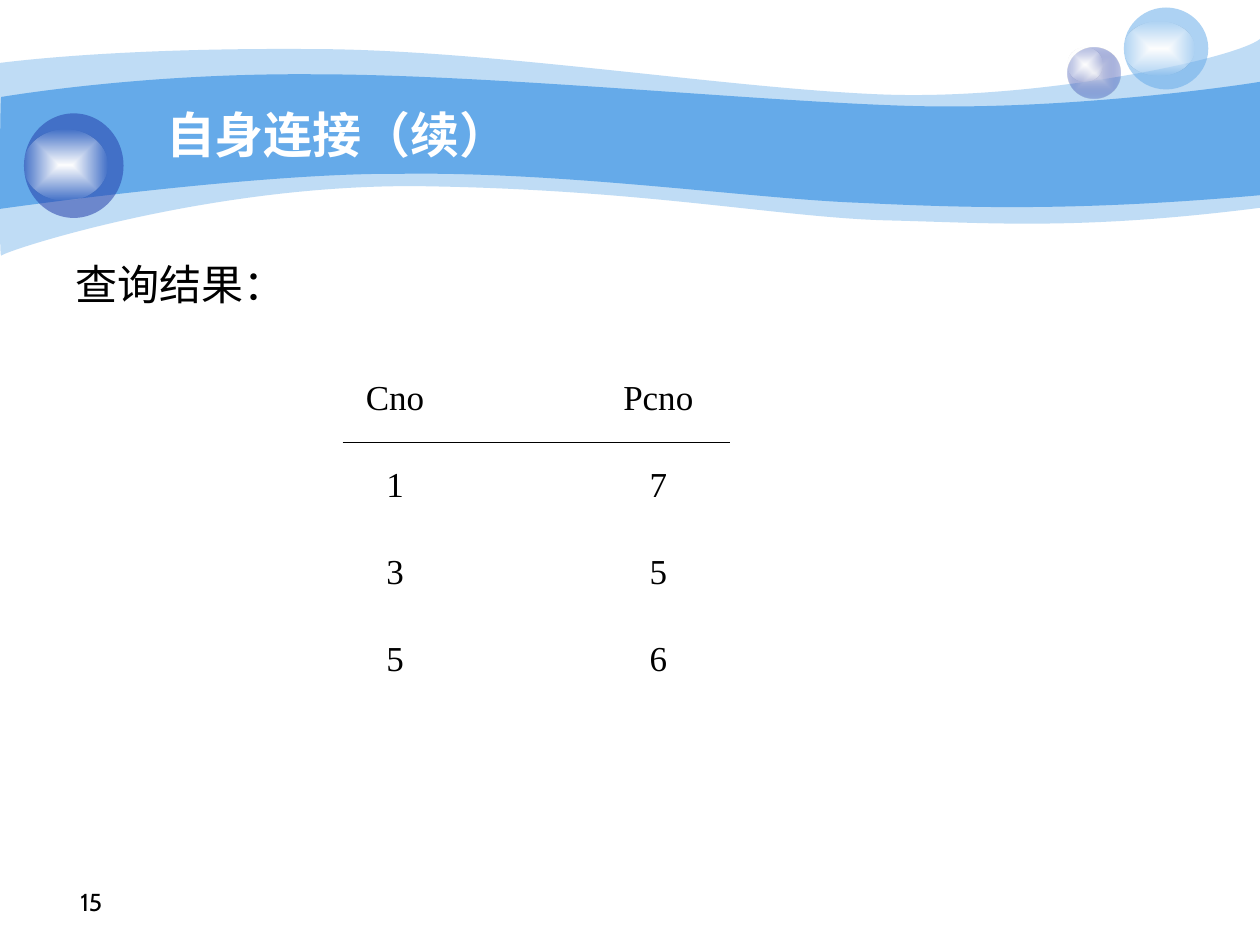
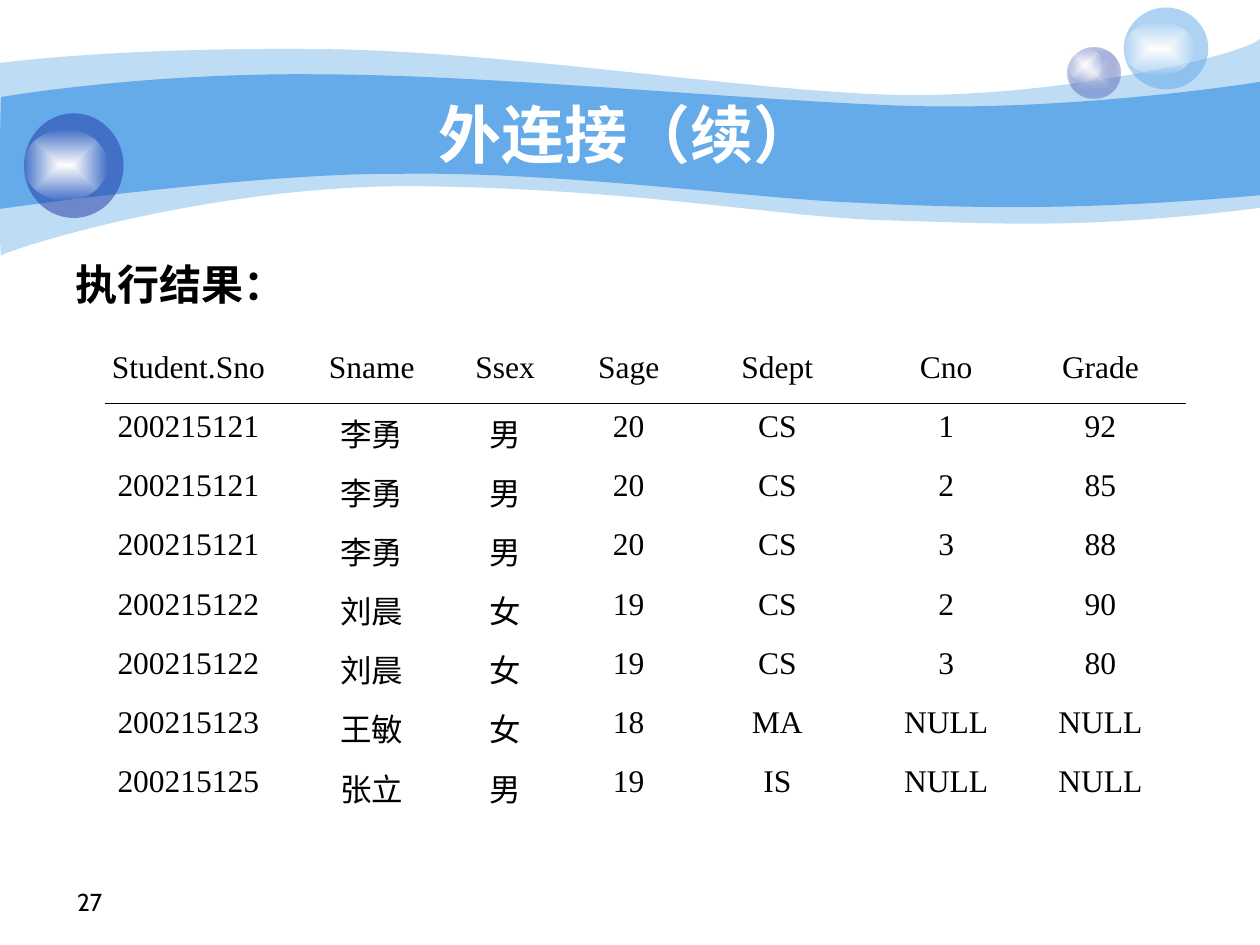
"""Build two slides of SQL join results on a shared wave background."""
from pptx import Presentation
from pptx.dml.color import RGBColor
from pptx.enum.lang import MSO_LANGUAGE_ID
from pptx.enum.shapes import MSO_CONNECTOR, MSO_SHAPE
from pptx.enum.text import MSO_ANCHOR, PP_ALIGN
from pptx.oxml import parse_xml
from pptx.oxml.ns import nsdecls
from pptx.util import Inches, Pt

LEFT, CENTER, RIGHT, JUSTIFY = PP_ALIGN.LEFT, PP_ALIGN.CENTER, PP_ALIGN.RIGHT, PP_ALIGN.JUSTIFY
TOP, MIDDLE, BOTTOM = MSO_ANCHOR.TOP, MSO_ANCHOR.MIDDLE, MSO_ANCHOR.BOTTOM
OVAL, STRAIGHT = MSO_SHAPE.OVAL, MSO_CONNECTOR.STRAIGHT
CHINESE = MSO_LANGUAGE_ID.SIMPLIFIED_CHINESE

COLORS = {"sky": "65AAE9", "navy": "233DA9", "mist": "E1E2ED",
          "white": "FFFFFF", "black": "000000"}
HEAD_FONT, TABLE_FONT, NUMBER_FONT = "Arial", "Times New Roman", "Cabin"
HANGING = 0.38

SLIDES = [
    {"number": "15",
     "title": ("自身连接（续）", (1.22, 0.75, 7.86, 0.62), 28, LEFT),
     "lead": ("查询结果：", (0.5, 2, 4.42, 0.65), False, LEFT),
     "table": {"at": (2.09, 2.96), "size": 20, "row_height": 0.69,
               "widths": [2.09, 2.09], "rule": (2.72, 5.79, 3.51),
               "rows": [("Cno", "Pcno"), ("1", "7"), ("3", "5"), ("5", "6")]}},
    {"number": "27",
     "title": ("外连接（续） ", (1, 0.75, 8.08, 0.62), 36, CENTER),
     "lead": ("执行结果： ", (0.5, 2, 4.42, 0.49), True, JUSTIFY),
     "table": {"at": (0.59, 2.73), "size": 18, "row_height": 0.47,
               "widths": [1.81, 1.1, 1.02, 0.94, 1.42, 1.26, 1.19],
               "rule": (0.83, 9.41, 3.2),
               "rows": [
                   ("Student.Sno", "Sname", "Ssex", "Sage", "Sdept", "Cno", "Grade"),
                   ("200215121", "李勇", "男", "20", "CS", "1", "92"),
                   ("200215121", "李勇", "男", "20", "CS", "2", "85"),
                   ("200215121", "李勇", "男", "20", "CS", "3", "88"),
                   ("200215122", "刘晨", "女", "19", "CS", "2", "90"),
                   ("200215122", "刘晨", "女", "19", "CS", "3", "80"),
                   ("200215123", "王敏", "女", "18", "MA", "NULL", "NULL"),
                   ("200215125", "张立", "男", "19", "IS", "NULL", "NULL")]}},
]

WAVES = [
    (41,
     [(0, 0.5), (0.24, 0.47), (1.07, 0.38), (2.47, 0.39), (3.86, 0.39),
      (5.75, 0.7), (6.99, 0.75), (8.22, 0.8), (9.8, 0.47), (10, 0.31)],
     [(10, 1.65), (8.58, 1.83), (7.87, 1.77), (7.05, 1.75), (6.22, 1.73),
      (5.15, 1.51), (3.43, 1.48), (1.72, 1.44), (0.04, 1.99), (0.01, 2.03),
      (-0.01, 2.08), (0, 0.75), (0, 0.5)]),
    (100,
     [(0.01, 0.77), (0.02, 0.77), (1.1, 0.58), (2.48, 0.59), (3.86, 0.59),
      (5.95, 0.8), (7.18, 0.84), (8.41, 0.88), (9.76, 0.69), (10, 0.65)],
     [(10, 1.55), (8.53, 1.68), (7.65, 1.65), (6.82, 1.61), (5.99, 1.58),
      (4.47, 1.36), (3.17, 1.38), (2.03, 1.37), (-0.02, 1.66), (-0.01, 1.66),
      (0, 1.66), (0, 0.77), (0.01, 0.77)]),
]
GLOSS = [("white", 100), ("white", 0)]
BUBBLES = [
    ((8.47, 0.38, 0.42, 0.4), [("mist", 100), ("navy", 31)]),
    ((8.47, 0.38, 0.28, 0.27), GLOSS),
    ((8.92, 0.06, 0.67, 0.65), [("sky", 53)]),
    ((8.92, 0.17, 0.56, 0.43), GLOSS),
    ((0.19, 0.9, 0.79, 0.83), [("navy", 53)]),
    ((0.19, 1.03, 0.66, 0.56), GLOSS),
]


def rgb(name):
    return RGBColor.from_string(COLORS[name])


def paint(shape, stops):
    shape.shadow.inherit = False
    shape.line.fill.background()
    shape.fill.solid()
    tints = [f'<a:srgbClr val="{COLORS[name]}"><a:alpha val="{opacity * 1000}"/></a:srgbClr>'
             for name, opacity in stops]
    if len(tints) == 1:
        xml = f'<a:solidFill {nsdecls("a")}>{tints[0]}</a:solidFill>'
    else:
        marks = "".join(f'<a:gs pos="{i * 100000}">{tint}</a:gs>'
                        for i, tint in enumerate(tints))
        xml = (f'<a:gradFill {nsdecls("a")} rotWithShape="1"><a:gsLst>{marks}</a:gsLst>'
               '<a:path path="shape"><a:fillToRect l="50000" t="50000" r="50000" b="50000"/>'
               '</a:path></a:gradFill>')
    spPr = shape.element.spPr
    spPr.replace(spPr.find("{*}solidFill"), parse_xml(xml))


def add_wave(s, upper, lower):
    nodes = [(Inches(x), Inches(y)) for x, y in upper + lower]
    builder = s.shapes.build_freeform(*nodes[0])
    builder.add_line_segments(nodes[1:], close=True)
    wave = builder.convert_to_shape()
    segments = list(wave.element.spPr.iterfind(".//{*}lnTo"))
    edge = len(upper) - 1
    for curves in (segments[:edge], segments[edge + 1:]):
        for i in range(0, len(curves), 3):
            bezier = parse_xml(f'<a:cubicBezTo {nsdecls("a")}/>')
            curves[i].addprevious(bezier)
            for segment in curves[i:i + 3]:
                bezier.append(segment[0])
                segment.getparent().remove(segment)
    return wave


def add_background(s):
    for opacity, upper, lower in WAVES:
        paint(add_wave(s, upper, lower), [("sky", opacity)])
    for box, stops in BUBBLES:
        paint(s.shapes.add_shape(OVAL, *map(Inches, box)), stops)


def write(tf, text, size, font, color="black", bold=False, align=LEFT, hanging=0):
    p = tf.paragraphs[0]
    p.alignment = align
    if hanging:
        pPr = p._p.get_or_add_pPr()
        pPr.set("marL", str(Inches(hanging)))
        pPr.set("indent", str(-Inches(hanging)))
    r = p.add_run()
    r.text = text
    r.font.size, r.font.name, r.font.bold = Pt(size), font, bold
    r.font.color.rgb = rgb(color)
    r.font.language_id = CHINESE


def add_text(s, box, anchor, *args, **style):
    tf = s.shapes.add_textbox(*map(Inches, box)).text_frame
    tf.word_wrap = True
    tf.vertical_anchor = anchor
    write(tf, *args, **style)


def add_result(s, at, size, row_height, widths, rule, rows):
    frame = s.shapes.add_table(len(rows), len(widths), *map(
        Inches, (*at, sum(widths), row_height * len(rows))))
    table = frame.table
    table.first_row = table.horz_banding = False
    for column, width in zip(table.columns, widths):
        column.width = Inches(width)
    for row, values in zip(table.rows, rows):
        row.height = Inches(row_height)
        for cell, value in zip(row.cells, values):
            cell.fill.background()
            write(cell.text_frame, value, size, TABLE_FONT, align=CENTER, hanging=HANGING)
    x1, x2, y = map(Inches, rule)
    line = s.shapes.add_connector(STRAIGHT, x1, y, x2, y)
    line.line.color.rgb = rgb("black")
    line.line.width = Pt(0.75)
    line.element.spPr.append(parse_xml(f'<a:effectLst {nsdecls("a")}/>'))


def main():
    prs = Presentation()
    prs.slide_width, prs.slide_height = Inches(10), Inches(7.5)
    for content in SLIDES:
        s = prs.slides.add_slide(prs.slide_layouts[6])
        add_background(s)
        add_text(s, (0.27, 6.82, 0.64, 0.5), BOTTOM, content["number"], 14,
                 NUMBER_FONT, align=RIGHT)
        title, box, size, align = content["title"]
        add_text(s, box, MIDDLE, title, size, HEAD_FONT, "white", True, align)
        lead, box, bold, align = content["lead"]
        add_text(s, box, TOP, lead, 24, HEAD_FONT, bold=bold, align=align, hanging=HANGING)
        add_result(s, **content["table"])
    prs.save("out.pptx")


if __name__ == "__main__":
    main()
